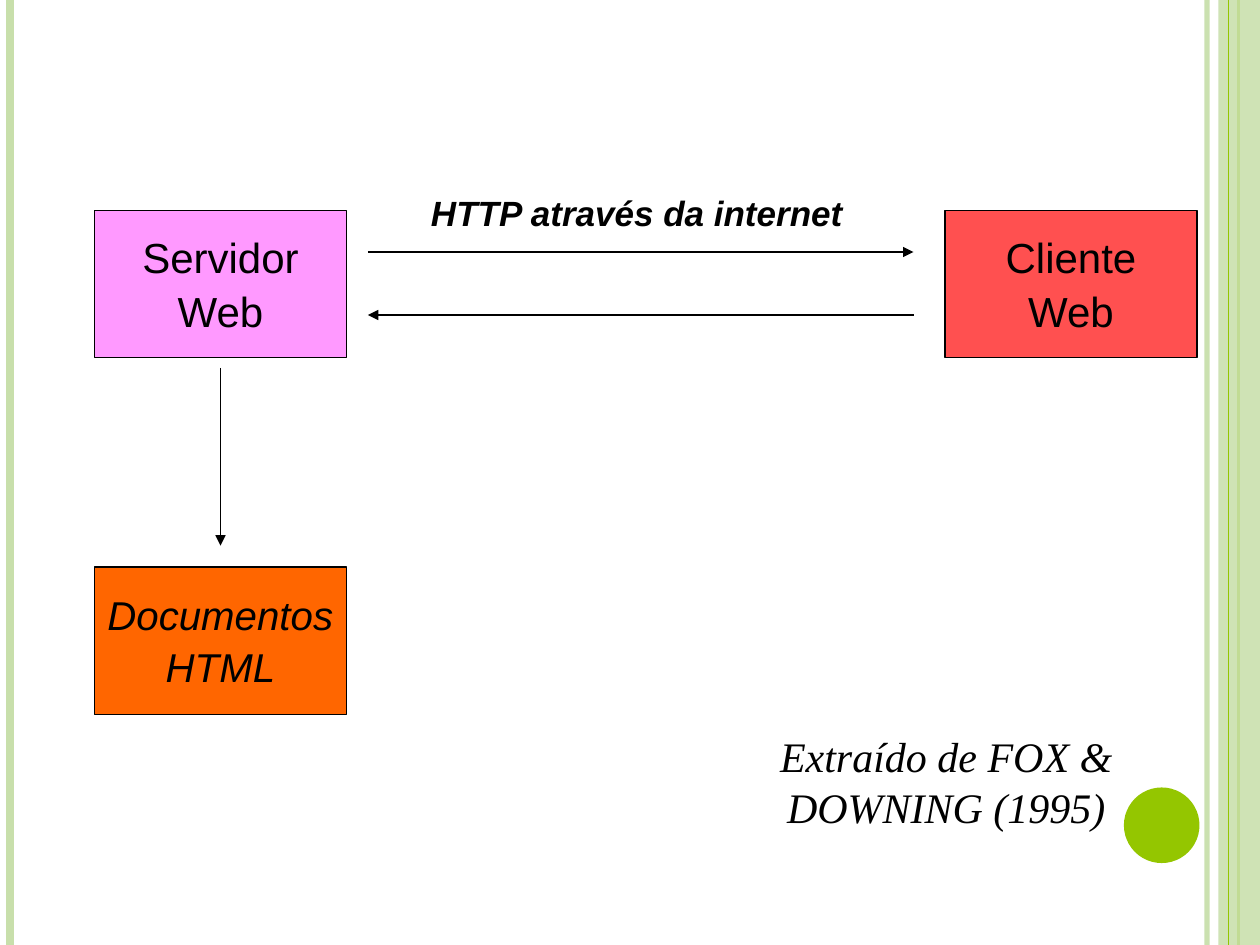
"""Builds a slide on how a web server and client talk over HTTP."""
from lxml import etree
from pptx import Presentation
from pptx.dml.color import RGBColor
from pptx.enum.shapes import MSO_CONNECTOR, MSO_SHAPE
from pptx.enum.text import MSO_ANCHOR, PP_ALIGN
from pptx.oxml.ns import qn
from pptx.util import Inches, Pt

RECT, OVAL = MSO_SHAPE.RECTANGLE, MSO_SHAPE.OVAL
STRAIGHT = MSO_CONNECTOR.STRAIGHT
MIDDLE, CENTER = MSO_ANCHOR.MIDDLE, PP_ALIGN.CENTER
BLACK = RGBColor(0x00, 0x00, 0x00)
PALE = RGBColor(0xC8, 0xDF, 0xAB)
GREEN = RGBColor(0x94, 0xC6, 0x00)
PINK = RGBColor(0xFF, 0x99, 0xFF)
RED = RGBColor(0xFF, 0x50, 0x50)
ORANGE = RGBColor(0xFF, 0x66, 0x00)

HIGH = 7.5
BOX_W, BOX_H = 2, 1.17
LEFT, RIGHT = 0.75, 7.5
TOP, LOW = 1.67, 4.5


class Sketch:
    def __init__(self, slide, font="Arial", ink=BLACK, thin=0.75):
        self.shapes = slide.shapes
        self.font, self.ink, self.thin = font, ink, thin

    def fade(self, props, alpha):
        color = props.find(qn("a:solidFill"))[0]
        etree.SubElement(color, qn("a:alpha"), val=str(alpha * 1000))

    def line(self, start, end, color=None, width=None, alpha=100, arrow=False):
        ends = [Inches(n) for n in (*start, *end)]
        link = self.shapes.add_connector(STRAIGHT, *ends)
        link.line.color.rgb = color or self.ink
        link.line.width = Pt(width or self.thin)
        props = link._element.spPr
        stroke = props.find(qn("a:ln"))
        if alpha < 100:
            self.fade(stroke, alpha)
        if arrow:
            etree.SubElement(stroke, qn("a:tailEnd"), type="triangle")
        etree.SubElement(props, qn("a:effectLst"))

    def shape(self, kind, area, color, alpha=100):
        item = self.shapes.add_shape(kind, *[Inches(n) for n in area])
        item.shadow.inherit = False
        item.fill.solid()
        item.fill.fore_color.rgb = color
        if alpha < 100:
            self.fade(item._element.spPr, alpha)
        item.line.fill.background()
        return item

    def text(self, frame, rows, size, font=None, bold=False, italic=False):
        frame.word_wrap = True
        for i, row in enumerate(rows):
            para = frame.add_paragraph() if i else frame.paragraphs[0]
            para.alignment = CENTER
            if i:
                para.space_before = Pt(2)
            run = para.add_run()
            run.text = row
            run.font.name = font or self.font
            run.font.size = Pt(size)
            run.font.bold, run.font.italic = bold, italic
            run.font.color.rgb = self.ink

    def box(self, left, top, color, rows, size=24, italic=False):
        item = self.shape(RECT, (left, top, BOX_W, BOX_H), color)
        item.line.color.rgb = self.ink
        item.line.width = Pt(self.thin)
        item.text_frame.vertical_anchor = MIDDLE
        self.text(item.text_frame, rows, size, italic=italic)

    def label(self, area, words, size, **style):
        item = self.shapes.add_textbox(*[Inches(n) for n in area])
        self.text(item.text_frame, [words], size, italic=True, **style)


def main():
    deck = Presentation()
    deck.slide_width, deck.slide_height = Inches(10), Inches(HIGH)
    art = Sketch(deck.slides.add_slide(deck.slide_layouts[6]))

    for x, color, width, alpha in (
        (9.58, PALE, 3, 93),
        (0.08, PALE, 4.5, 100),
        (9.83, GREEN, 1.5, 100),
    ):
        art.line((x, 0), (x, HIGH), color, width, alpha)
    art.shape(RECT, (9.67, 0, 0.33, HIGH), PALE, 87)
    art.line((9.75, 0), (9.75, HIGH), GREEN)
    art.shape(OVAL, (8.92, 6.25, 0.6, 0.6), GREEN)

    art.box(LEFT, TOP, PINK, ["Servidor", "Web"])
    art.box(RIGHT, TOP, RED, ["Cliente", "Web"])
    art.box(LEFT, LOW, ORANGE, ["Documentos", "HTML"], 23, True)

    mid = LEFT + BOX_W / 2
    for start, end in (
        ((mid, 2.92), (mid, 4.33)),
        ((2.92, 2), (7.25, 2)),
        ((7.25, 2.5), (2.92, 2.5)),
    ):
        art.line(start, end, arrow=True)

    art.label((3.32, 1.47, 3.47, 0.43), "HTTP através da internet", 20, bold=True)
    art.label((5.44, 5.75, 4.14, 0.87), "Extraído de FOX & DOWNING (1995)", 24,
              font="Times New Roman")
    deck.save("out.pptx")


if __name__ == "__main__":
    main()
